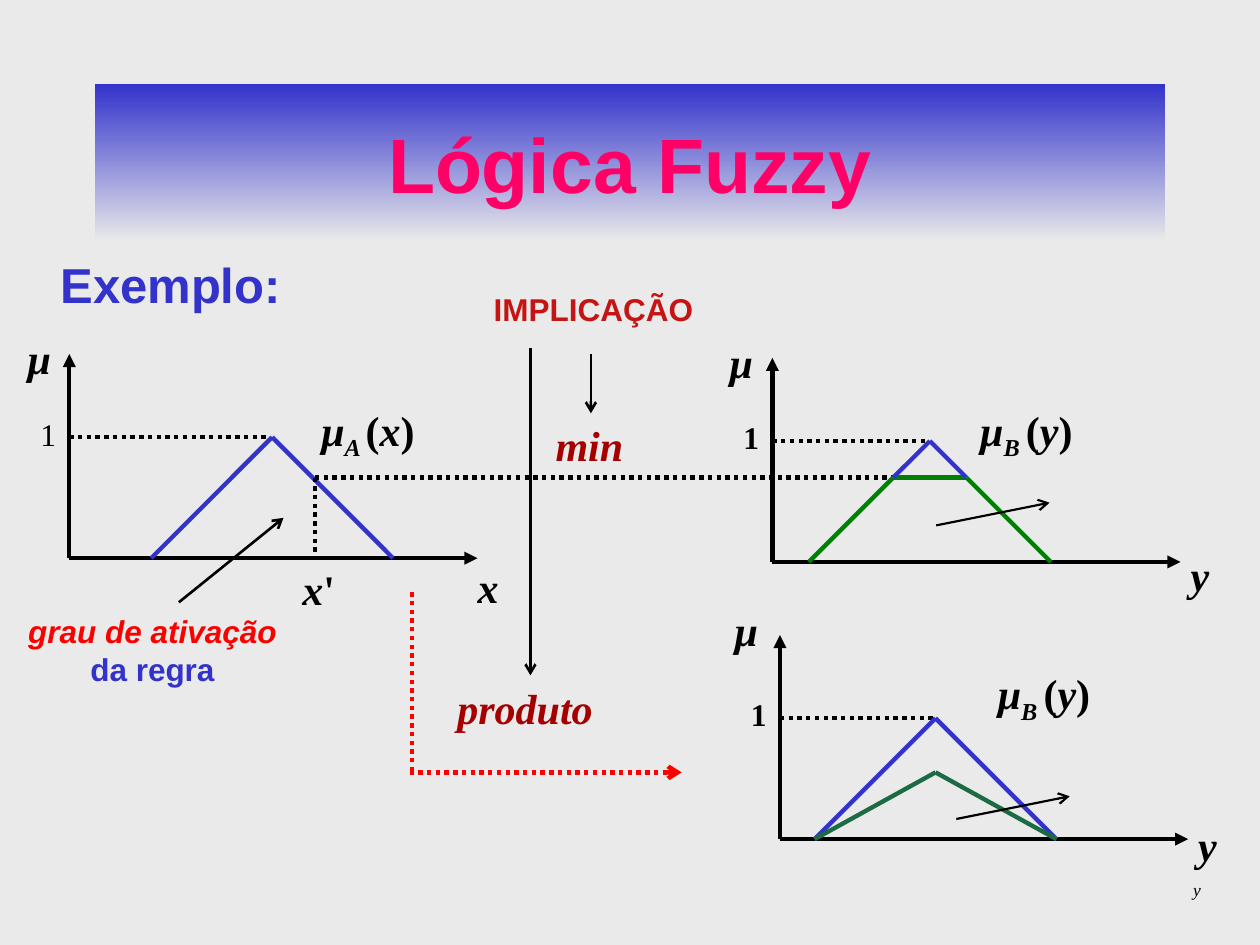
from dataclasses import dataclass
from itertools import pairwise
from typing import NamedTuple

from lxml.etree import SubElement
from pptx import Presentation
from pptx.dml.color import RGBColor
from pptx.enum.dml import MSO_LINE
from pptx.enum.shapes import MSO_CONNECTOR
from pptx.enum.text import MSO_ANCHOR, MSO_AUTO_SIZE, PP_ALIGN
from pptx.oxml.ns import qn
from pptx.util import Inches, Pt


@dataclass(frozen=True)
class Theme:
    sans: str = "Arial"
    serif: str = "Times New Roman"
    paper: str = "EAEAEA"
    ink: str = "000000"
    blue: str = "3333CC"
    pink: str = "FF0066"
    green: str = "008000"
    pine: str = "1B6B45"
    red: str = "FF0000"
    activation: str = "FC0000"
    implication: str = "C41414"
    operator: str = "A40000"
    title: float = 44
    heading: float = 28
    symbol: float = 24
    label: float = 18
    footnote: float = 10
    stroke: float = 2.5
    pointer: float = 1.5
    fine: float = 1.25


class Point(NamedTuple):
    col: float
    row: float

    def shift(self, cols: float, rows: float) -> "Point":
        return Point(self.col + cols, self.row + rows)


class Piece(NamedTuple):
    text: str
    italic: bool = True
    subscript: bool = False
    color: str = ""


@dataclass(frozen=True)
class FuzzyPlot:
    origin: Point
    peak: float
    guide: float
    fuzzy_set: str
    variable: str
    membership_at: Point
    variable_at: Point
    mu_at: Point
    bold_one: bool = True

    @property
    def apex(self) -> Point:
        return self.origin.shift(self.peak, -HEIGHT)

    @property
    def left_foot(self) -> Point:
        return self.origin.shift(self.peak - HEIGHT, 0)

    @property
    def right_foot(self) -> Point:
        return self.origin.shift(self.peak + HEIGHT, 0)


THEME = Theme()
HEIGHT = 9.6
AXIS_COLS, AXIS_ROWS = 32.4, 16.2
LEVEL = 37.9

deck = Presentation()
deck.slide_width, deck.slide_height = Inches(10), Inches(7.5)
COLUMN, ROW = deck.slide_width / 100, deck.slide_height / 75
slide = deck.slides.add_slide(deck.slide_layouts[1])
slide.background.fill.solid()
slide.background.fill.fore_color.rgb = RGBColor.from_string(THEME.paper)


def place(shape, at: Point, cols: float, rows: float) -> None:
    shape.left, shape.top = round(at.col * COLUMN), round(at.row * ROW)
    shape.width, shape.height = round(cols * COLUMN), round(rows * ROW)


def style(font, face: str, size: float, color: str, bold=True, italic=False) -> None:
    font.name, font.size, font.bold, font.italic = face, Pt(size), bold, italic
    font.color.rgb = RGBColor.from_string(color)


def write(at: Point, cols: float, rows: float, pieces: list[Piece], size: float = THEME.symbol,
          color: str = THEME.ink, face: str = THEME.serif, bold: bool = True,
          align=PP_ALIGN.LEFT, inset: tuple[float, float] = (0, 0)) -> None:
    box = slide.shapes.add_textbox(0, 0, 0, 0)
    place(box, at, cols, rows)
    frame = box.text_frame
    frame.word_wrap = True
    frame.margin_left = frame.margin_right = Inches(inset[0])
    frame.margin_top = frame.margin_bottom = Inches(inset[1])
    paragraph = frame.paragraphs[0]
    paragraph.alignment = align
    for piece in pieces:
        run = paragraph.add_run()
        run.text = piece.text
        style(run.font, face, size, piece.color or color, bold, piece.italic)
        if piece.subscript:
            run._r.get_or_add_rPr().set("baseline", "-25000")


def draw_line(start: Point, end: Point, color: str = THEME.ink, width: float = THEME.stroke,
              dotted: bool = False, arrowhead: str = "") -> None:
    line = slide.shapes.add_connector(
        MSO_CONNECTOR.STRAIGHT, round(start.col * COLUMN), round(start.row * ROW),
        round(end.col * COLUMN), round(end.row * ROW))
    line.line.color.rgb = RGBColor.from_string(color)
    line.line.width = Pt(width)
    if dotted:
        line.line.dash_style = MSO_LINE.ROUND_DOT
    properties = line._element.spPr
    if arrowhead:
        SubElement(properties.find(qn("a:ln")), qn("a:tailEnd"), type=arrowhead)
    SubElement(properties, qn("a:effectLst"))


def draw_outline(points: list[Point], color: str) -> None:
    for start, end in pairwise(points):
        draw_line(start, end, color)


def draw_plot(plot: FuzzyPlot) -> None:
    origin = plot.origin
    draw_line(origin, origin.shift(0, -AXIS_ROWS), arrowhead="triangle")
    draw_line(origin, origin.shift(AXIS_COLS, 0), arrowhead="triangle")
    one = origin.shift(0, -HEIGHT)
    draw_line(one, one.shift(plot.guide, 0), dotted=True)
    write(one.shift(-2.3, -1.8), 1.8, 3.6, [Piece("1", italic=False)], THEME.label, bold=plot.bold_one)
    write(origin.shift(*plot.mu_at), 3.8, 5, [Piece("μ")])
    write(origin.shift(*plot.variable_at), 5.2, 5.2, [Piece(plot.variable)])
    write(origin.shift(*plot.membership_at), 12, 5.1, [
        Piece("μ"), Piece(f"{plot.fuzzy_set} ", subscript=True), Piece("(", italic=False),
        Piece(plot.variable), Piece(")", italic=False)])


title = slide.shapes.title
place(title, Point(7.5, 6.7), 85, 12.5)
title.fill.gradient()
title.fill.gradient_angle = 270
for stop, shade, position in zip(title.fill.gradient_stops, (THEME.blue, THEME.paper), (0, 1)):
    stop.color.rgb = RGBColor.from_string(shade)
    stop.position = position
title.text_frame.text = "Lógica Fuzzy"
title.text_frame.auto_size = MSO_AUTO_SIZE.NONE
title.text_frame.vertical_anchor = MSO_ANCHOR.MIDDLE
title.text_frame.paragraphs[0].alignment = PP_ALIGN.CENTER
style(title.text_frame.paragraphs[0].runs[0].font, THEME.sans, THEME.title, THEME.pink)

body = slide.placeholders[1]
place(body, Point(0, 18.3), 100, 53.3)
body.text_frame.text = "Exemplo:"
body.text_frame.auto_size = MSO_AUTO_SIZE.NONE
heading = body.text_frame.paragraphs[0]
bullet = heading._p.get_or_add_pPr()
bullet.set("marL", str(Inches(0.38)))
bullet.set("indent", "0")
SubElement(bullet, qn("a:buNone"))
heading.line_spacing = 1.3
heading.space_before = Pt(0)
style(heading.runs[0].font, THEME.sans, THEME.heading, THEME.blue)

premise = FuzzyPlot(Point(5.5, 44.3), 16.1, 15.9, "A", "x",
                    Point(20, -12.2), Point(32.4, 0.3), Point(-3.3, -17.9), bold_one=False)
minimum = FuzzyPlot(Point(61.3, 44.6), 12.5, 12.4, "B", "y",
                    Point(16.5, -12.5), Point(33.2, -1), Point(-3.4, -17.9))
product = FuzzyPlot(Point(61.9, 66.6), 12.35, 12.4, "B", "y",
                    Point(17.3, -13.6), Point(33.2, -1.6), Point(-3.6, -18.6))
for plot in (premise, minimum, product):
    draw_plot(plot)

for plot in (premise, product):
    draw_outline([plot.left_foot, plot.apex, plot.right_foot], THEME.blue)

cut = LEVEL - minimum.apex.row
left_cut, right_cut = minimum.apex.shift(-cut, cut), minimum.apex.shift(cut, cut)
activated = Point(25, LEVEL)
draw_line(activated, Point(25, premise.origin.row), dotted=True)
draw_line(activated, left_cut, dotted=True)
draw_outline([minimum.left_foot, left_cut, right_cut, minimum.right_foot], THEME.green)
draw_outline([left_cut, minimum.apex, right_cut], THEME.blue)
draw_outline([product.left_foot, Point(product.apex.col, 61.3), product.right_foot], THEME.pine)

for tail in (Point(74.3, 41.7), Point(75.9, 65)):
    draw_line(tail, tail.shift(9, -1.8), width=THEME.fine, arrowhead="arrow")
for tail, tip in ((Point(14.2, 47.8), Point(22.5, 41.1)),
                  (Point(46.9, 28.1), Point(46.9, 32.8)),
                  (Point(42.1, 27.6), Point(42.1, 53.6))):
    draw_line(tail, tip, width=THEME.pointer, arrowhead="arrow")
draw_line(Point(32.7, 47), Point(32.7, 61.4), THEME.red, dotted=True)
draw_line(Point(32.5, 61.3), Point(54.1, 61.3), THEME.red, dotted=True, arrowhead="arrow")

write(Point(24, 44.7), 4.5, 4.3, [Piece("x"), Piece("'", italic=False)])
write(Point(94.7, 69.8), 5.2, 5.2, [Piece("y")], THEME.footnote, bold=False)
write(Point(44.1, 33.3), 9, 5.1, [Piece("min")], color=THEME.operator)
write(Point(36.3, 54.2), 14.4, 5.1, [Piece("produto")], color=THEME.operator)
write(Point(0, 48.1), 24.2, 7,
      [Piece("grau de ativação "), Piece("da regra", italic=False, color=THEME.blue)],
      THEME.label, THEME.activation, THEME.sans, align=PP_ALIGN.CENTER, inset=(0.1, 0.05))
write(Point(38.2, 22.5), 19.7, 4, [Piece("IMPLICAÇÃO", italic=False)],
      THEME.label, THEME.implication, THEME.sans, inset=(0.1, 0.05))

deck.save("out.pptx")
